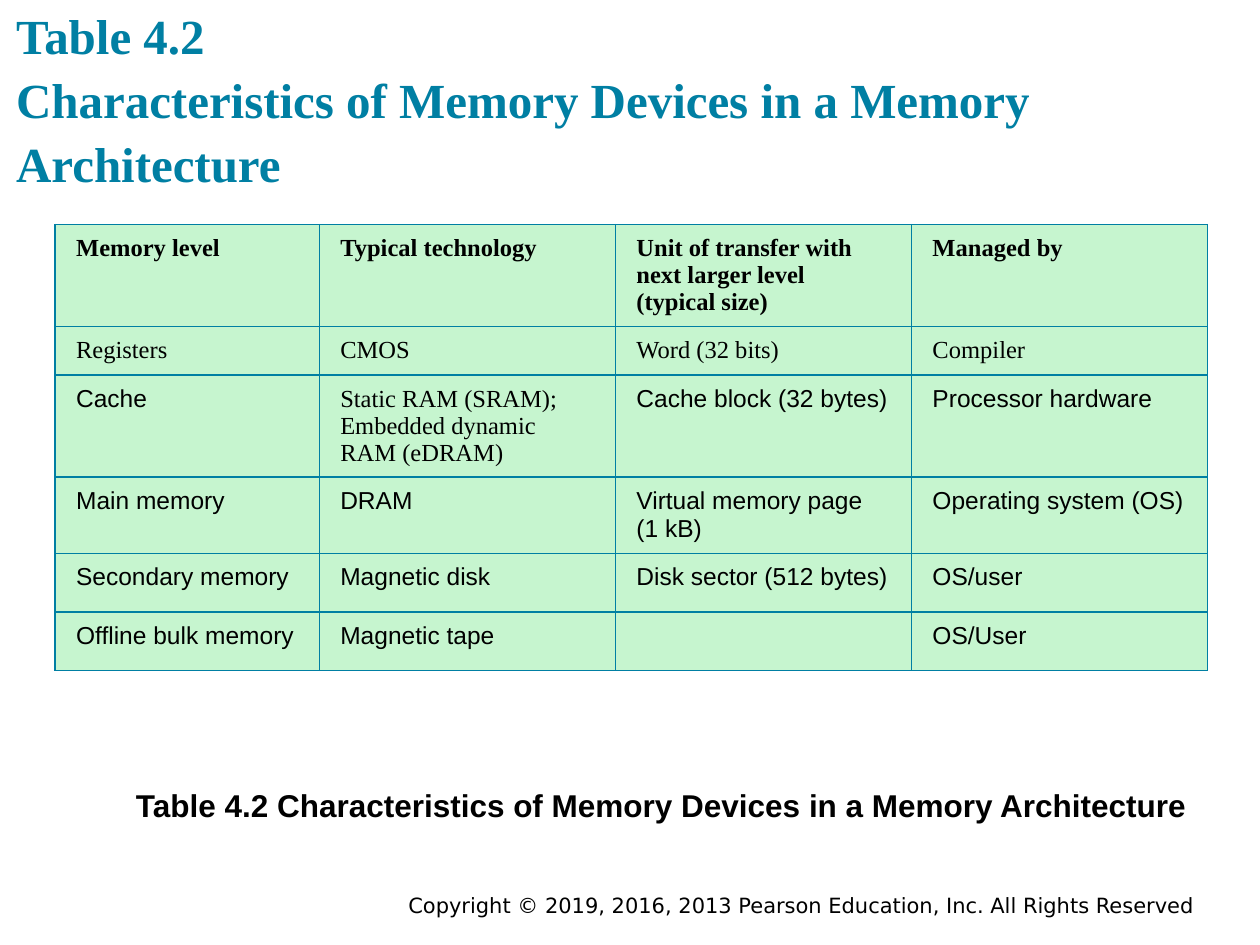
from dataclasses import dataclass

from lxml import etree
from pptx import Presentation
from pptx.dml.color import RGBColor
from pptx.enum import text
from pptx.oxml.ns import qn
from pptx.util import Pt


@dataclass(frozen=True)
class Theme:
    accent: str = "007FA3"
    ink: str = "000000"
    cell: str = "C6F5CF"
    serif: str = "Times New Roman"
    sans: str = "Arial"
    footer: str = "DejaVu Sans"
    title_size: int = 28
    caption_size: int = 18
    table_size: int = 14
    footer_size: int = 12


THEME = Theme()
HEADING = "Characteristics of Memory Devices in a Memory Architecture"
COPYRIGHT = "Copyright © 2019, 2016, 2013 Pearson Education, Inc. All Rights Reserved"
COL_WIDTHS = [151, 169.2, 169.2, 169.2]
ROW_HEIGHTS = [58.3, 27.7, 58.3, 43.7, 33.4, 33.4]
ROWS = [
    ["Memory level", "Typical technology",
     "Unit of transfer with\nnext larger level\n(typical size)", "Managed by"],
    ["Registers", "CMOS", "Word (32 bits)", "Compiler"],
    ["Cache", "Static RAM (SRAM);\nEmbedded dynamic\nRAM (eDRAM)",
     "Cache block (32 bytes)", "Processor hardware"],
    ["Main memory", "DRAM", "Virtual memory page\n(1 kB)", "Operating system (OS)"],
    ["Secondary memory", "Magnetic disk", "Disk sector (512 bytes)", "OS/user"],
    ["Offline bulk memory", "Magnetic tape", "", "OS/User"],
]
SERIF_CELLS = {(r, c) for r in (0, 1) for c in range(4)} | {(2, 1)}


def set_attrs(obj, values):
    for name, value in values.items():
        setattr(obj, name, value)


def write(tf, content, font, size, color=THEME.ink, bold=False, **para):
    tf.text = content
    for p in tf.paragraphs:
        set_attrs(p, para)
        for r in p.runs:
            set_attrs(r.font, {"name": font, "size": Pt(size), "bold": bold})
            r.font.color.rgb = RGBColor.from_string(color)


def place(s, left, top, width, height):
    set_attrs(s, {"left": Pt(left), "top": Pt(top),
                  "width": Pt(width), "height": Pt(height)})


def add_title(slide):
    s = slide.shapes.title
    place(s, 2, 9.4, 718, 108)
    tf = s.text_frame
    set_attrs(tf, {"margin_left": Pt(7.2), "margin_right": Pt(7.2),
                   "margin_top": Pt(7.2), "margin_bottom": Pt(7.2),
                   "word_wrap": True, "auto_size": text.MSO_AUTO_SIZE.NONE,
                   "vertical_anchor": text.MSO_ANCHOR.BOTTOM})
    write(tf, f"Table 4.2\v{HEADING}", THEME.serif, THEME.title_size, THEME.accent,
          True, alignment=text.PP_ALIGN.LEFT, line_spacing=1.09)


def add_text(slide, box, content, font, size, wrap, **style):
    tf = slide.shapes.add_textbox(*map(Pt, box)).text_frame
    tf.word_wrap = wrap
    write(tf, content, font, size, **style)


def set_borders(cell):
    props = cell._tc.get_or_add_tcPr()
    for i, side in enumerate(("lnL", "lnR", "lnT", "lnB")):
        line = etree.Element(qn(f"a:{side}"), w=str(Pt(1)))
        fill = etree.SubElement(line, qn("a:solidFill"))
        etree.SubElement(fill, qn("a:srgbClr"), val=THEME.accent)
        props.insert(i, line)


def format_cell(cell, content, font, bold):
    set_attrs(cell, {"margin_left": Pt(12), "margin_right": Pt(12),
                     "margin_top": Pt(5.76), "margin_bottom": Pt(5.76)})
    cell.fill.solid()
    cell.fill.fore_color.rgb = RGBColor.from_string(THEME.cell)
    set_borders(cell)
    write(cell.text_frame, content, font, THEME.table_size, bold=bold)


def add_memory_table(slide):
    frame = slide.shapes.add_table(len(ROWS), len(COL_WIDTHS), Pt(31.5), Pt(128.4),
                                   Pt(sum(COL_WIDTHS)), Pt(sum(ROW_HEIGHTS)))
    table = frame.table
    set_attrs(table, {"first_row": False, "horz_banding": False})
    for col, width in zip(table.columns, COL_WIDTHS):
        col.width = Pt(width)
    for row, height in zip(table.rows, ROW_HEIGHTS):
        row.height = Pt(height)
    for r, contents in enumerate(ROWS):
        for c, content in enumerate(contents):
            font = THEME.serif if (r, c) in SERIF_CELLS else THEME.sans
            format_cell(table.cell(r, c), content, font, r == 0)


def main():
    prs = Presentation()
    set_attrs(prs, {"slide_width": Pt(720), "slide_height": Pt(540)})
    slide = prs.slides.add_slide(prs.slide_layouts[5])
    add_title(slide)
    add_memory_table(slide)
    add_text(slide, (70.6, 445.7, 620.6, 29), f"Table 4.2 {HEADING}",
             THEME.sans, THEME.caption_size, False, bold=True)
    add_text(slide, (126, 506.2, 563.8, 16), COPYRIGHT, THEME.footer,
             THEME.footer_size, True, alignment=text.PP_ALIGN.RIGHT)
    prs.save("out.pptx")


if __name__ == "__main__":
    main()
